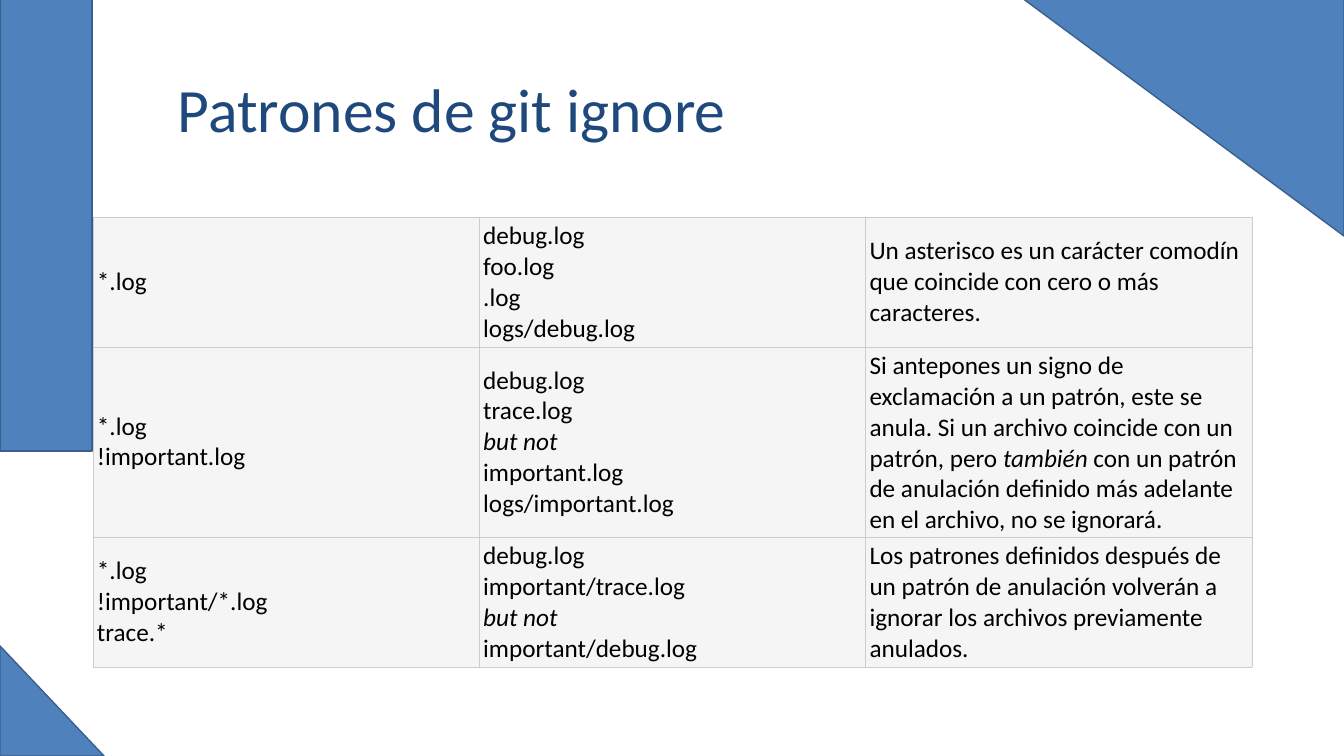
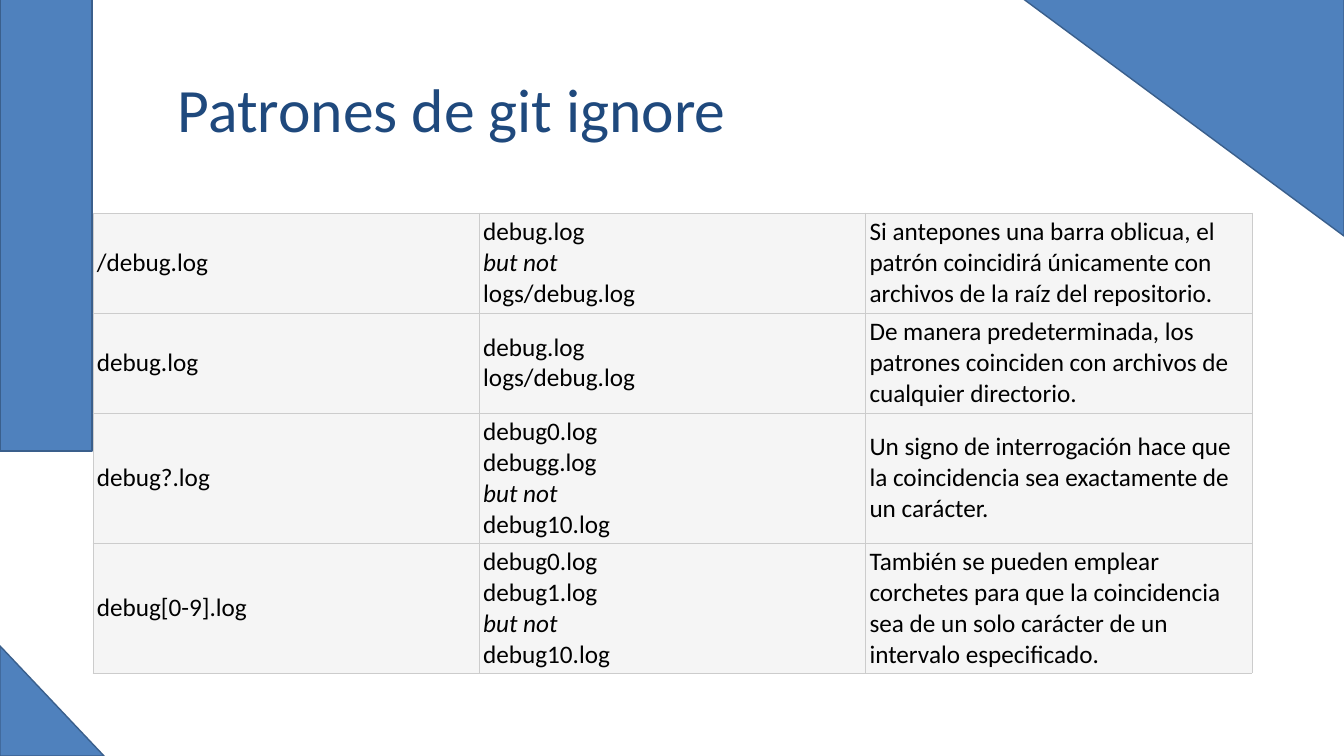
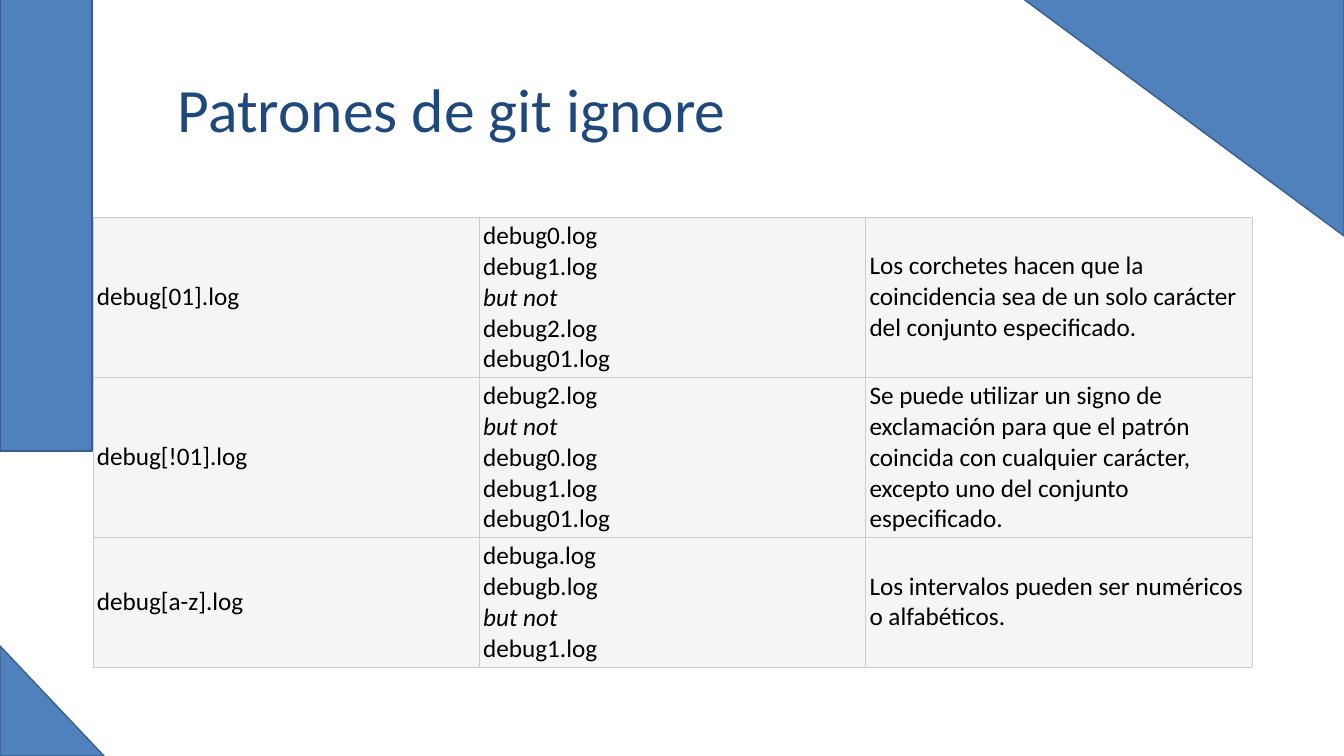
"""Build three slides with tables of gitignore patterns."""
from lxml.etree import SubElement
from pptx import Presentation
from pptx.dml.color import RGBColor
from pptx.enum.shapes import MSO_SHAPE as SHAPE
from pptx.enum.text import MSO_ANCHOR as ANCHOR
from pptx.oxml.ns import qn
from pptx.util import Pt

EMU_PER_PX = 12192000 / 1344
FONT = "Calibri"
BLUE, EDGE, NAVY = "4F81BD", "3A5F8C", "1F497D"
CELL, BORDER, BLACK = "F5F5F5", "CCCCCC", "000000"
TITLE = "Patrones de git ignore"
DECOR = [
    (SHAPE.RECTANGLE, 0, -1, 92, 452, 0),
    (SHAPE.RIGHT_TRIANGLE, 1018, -5, 326, 241, 180),
    (SHAPE.RIGHT_TRIANGLE, 0, 646, 104, 110, 0),
]
TABLES = [
    (217, [
        (4, "*.log", "debug.log\nfoo.log\n.log\nlogs/debug.log",
         "Un asterisco es un carácter comodín que coincide con cero o más caracteres."),
        (6, "*.log\n!important.log",
         "debug.log\ntrace.log\n_but not_\nimportant.log\nlogs/important.log",
         "Si antepones un signo de exclamación a un patrón, este se anula. "
         "Si un archivo coincide con un patrón, pero _también_ con un patrón "
         "de anulación definido más adelante en el archivo, no se ignorará."),
        (4, "*.log\n!important/*.log\ntrace.*",
         "debug.log\nimportant/trace.log\n_but not_\nimportant/debug.log",
         "Los patrones definidos después de un patrón de anulación volverán a "
         "ignorar los archivos previamente anulados."),
    ]),
    (213, [
        (3, "/debug.log", "debug.log\n_but not_\nlogs/debug.log",
         "Si antepones una barra oblicua, el patrón coincidirá únicamente con "
         "archivos de la raíz del repositorio."),
        (3, "debug.log", "debug.log\nlogs/debug.log",
         "De manera predeterminada, los patrones coinciden con archivos de "
         "cualquier directorio."),
        (4, "debug?.log", "debug0.log\ndebugg.log\n_but not_\ndebug10.log",
         "Un signo de interrogación hace que la coincidencia sea exactamente de "
         "un carácter."),
        (4, "debug[0-9].log", "debug0.log\ndebug1.log\n_but not_\ndebug10.log",
         "También se pueden emplear corchetes para que la coincidencia sea de un "
         "solo carácter de un intervalo especificado."),
    ]),
    (217, [
        (5, "debug[01].log",
         "debug0.log\ndebug1.log\n_but not_\ndebug2.log\ndebug01.log",
         "Los corchetes hacen que la coincidencia sea de un solo carácter del "
         "conjunto especificado."),
        (5, "debug[!01].log",
         "debug2.log\n_but not_\ndebug0.log\ndebug1.log\ndebug01.log",
         "Se puede utilizar un signo de exclamación para que el patrón coincida "
         "con cualquier carácter, excepto uno del conjunto especificado."),
        (4, "debug[a-z].log", "debuga.log\ndebugb.log\n_but not_\ndebug1.log",
         "Los intervalos pueden ser numéricos o alfabéticos."),
    ]),
]


def px(n):
    return round(n * EMU_PER_PX)


def rgb(color):
    return RGBColor.from_string(color)


prs = Presentation()
prs.slide_width, prs.slide_height = px(1344), px(756)

for top, rows in TABLES:
    s = prs.slides.add_slide(prs.slide_layouts[6])
    for kind, x, y, w, h, angle in DECOR:
        sp = s.shapes.add_shape(kind, px(x), px(y), px(w), px(h))
        sp.rotation = angle
        sp.shadow.inherit = False
        sp.fill.solid()
        sp.fill.fore_color.rgb = rgb(BLUE)
        sp.line.color.rgb = rgb(EDGE)
        sp.line.width = Pt(1)

    tf = s.shapes.add_textbox(px(168), px(40), px(906), px(146)).text_frame
    tf.word_wrap = True
    tf.vertical_anchor = ANCHOR.MIDDLE
    p = tf.paragraphs[0]
    p.text = TITLE
    p.line_spacing = 0.9
    p.font.name, p.font.size = FONT, Pt(44)
    p.font.color.rgb = rgb(NAVY)

    heights = [px(30 * row[0] + 10) for row in rows]
    table = s.shapes.add_table(
        len(rows), 3, px(93), px(top), px(1159), sum(heights)).table
    table.first_row = table.horz_banding = False
    for i, (_, *texts) in enumerate(rows):
        table.rows[i].height = heights[i]
        for j, text in enumerate(texts):
            cell = table.cell(i, j)
            cell.vertical_anchor = ANCHOR.MIDDLE
            cell.margin_left = cell.margin_right = px(4)
            cell.margin_top = cell.margin_bottom = px(4)
            tcPr = cell._tc.get_or_add_tcPr()
            for side in ("a:lnL", "a:lnR", "a:lnT", "a:lnB"):
                ln = SubElement(tcPr, qn(side), w=str(Pt(0.6)))
                fill = SubElement(ln, qn("a:solidFill"))
                SubElement(fill, qn("a:srgbClr"), val=BORDER)
            cell.fill.solid()
            cell.fill.fore_color.rgb = rgb(CELL)
            p = cell.text_frame.paragraphs[0]
            for n, line in enumerate(text.split("\n")):
                if n:
                    p.add_line_break()
                for k, part in enumerate(line.split("_")):
                    if part:
                        r = p.add_run()
                        r.text = part
                        r.font.name, r.font.size = FONT, Pt(18)
                        r.font.italic = k % 2 == 1
                        r.font.color.rgb = rgb(BLACK)

prs.save("out.pptx")
